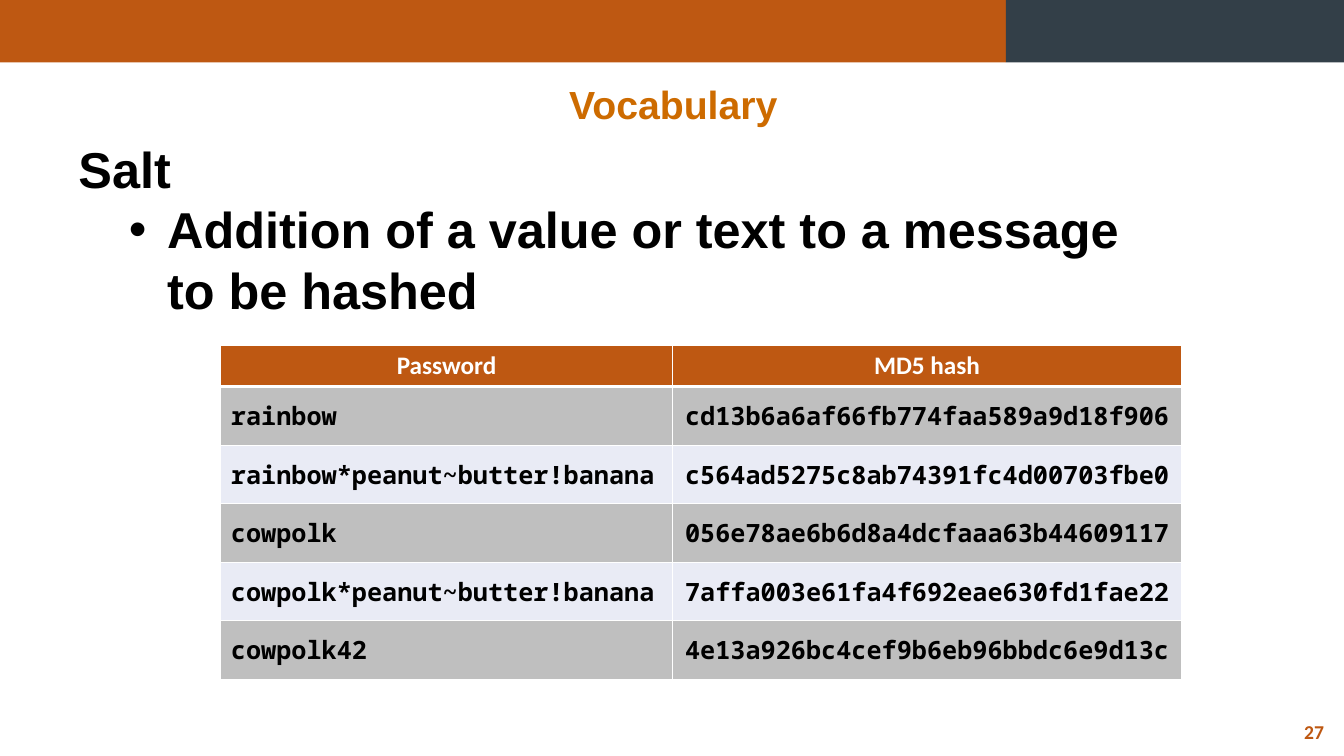
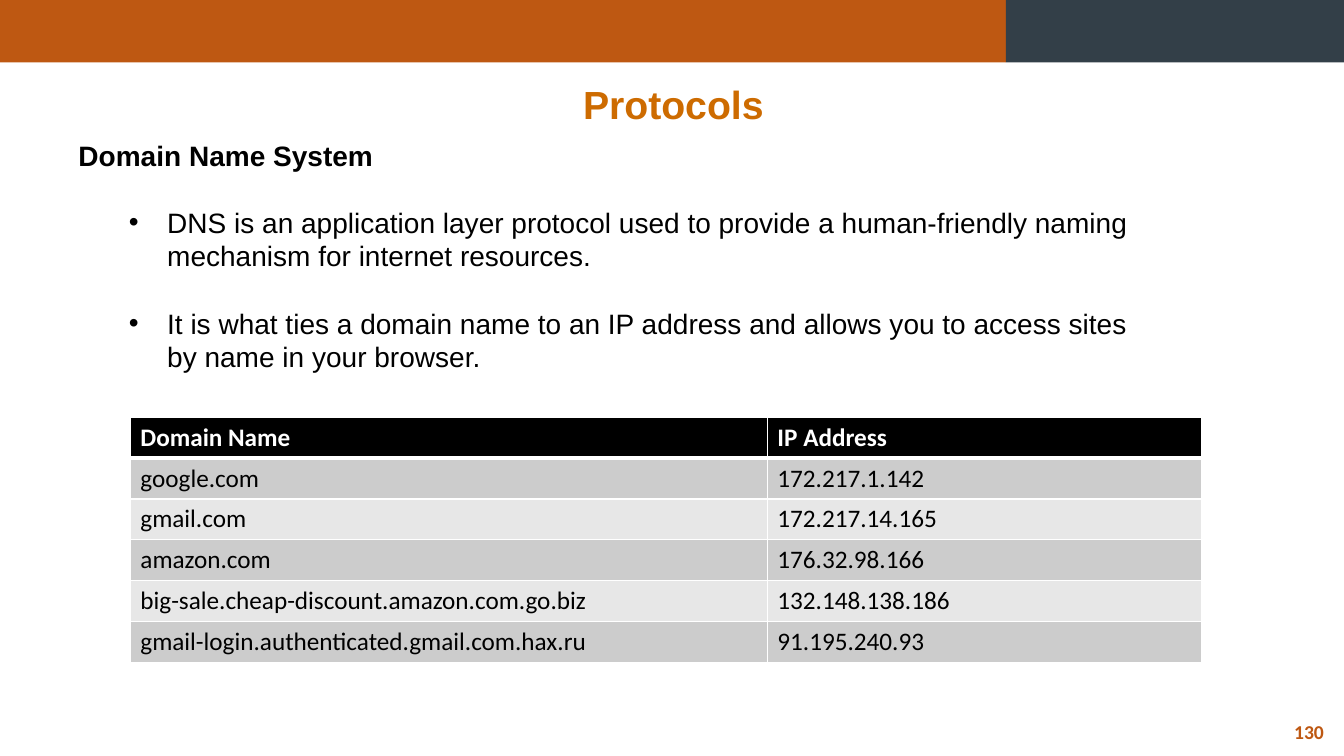
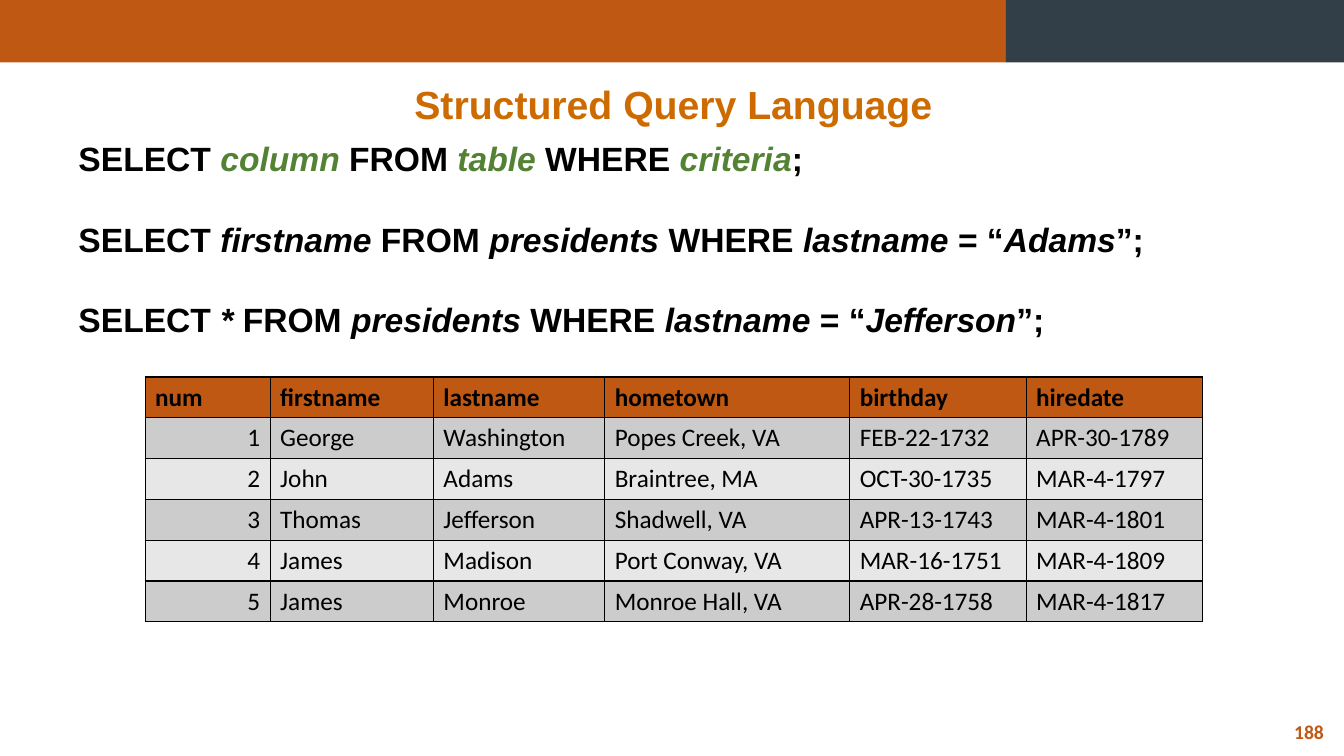
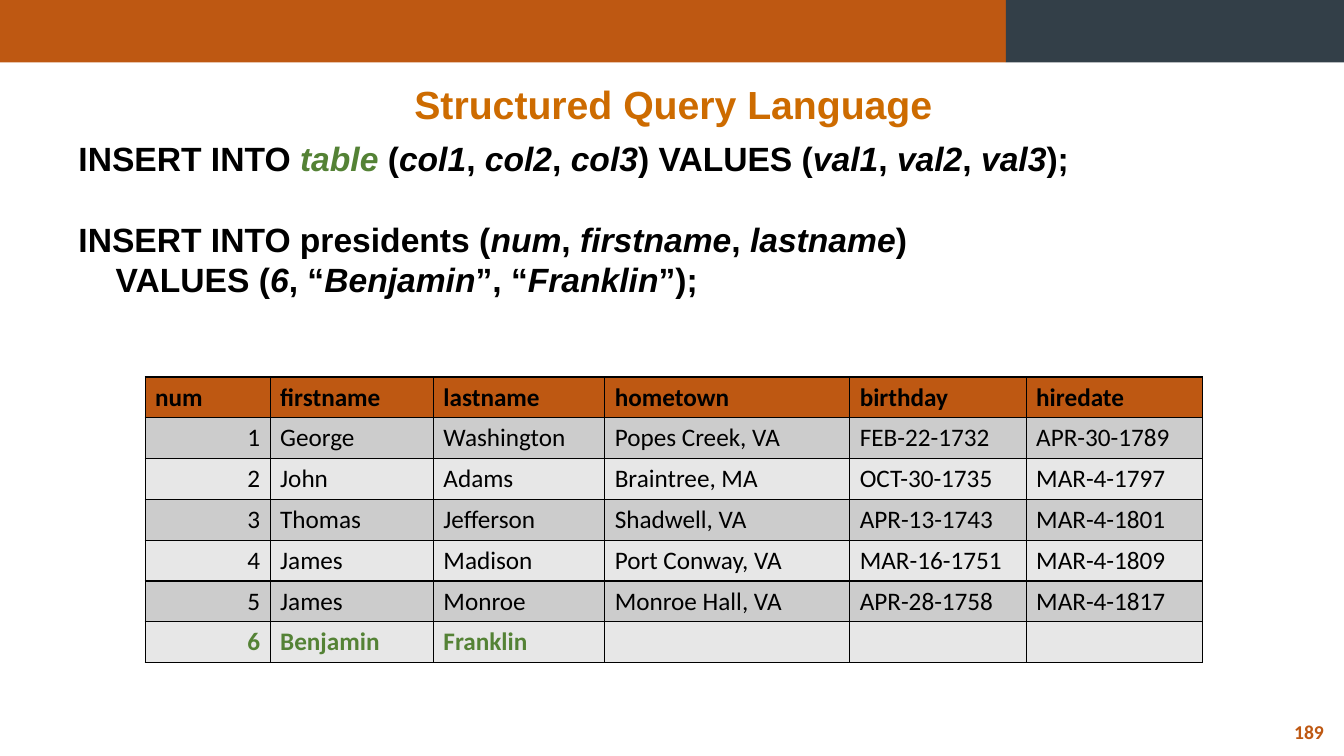
from lxml import etree
from pptx import Presentation
from pptx.dml.color import RGBColor
from pptx.enum.shapes import MSO_SHAPE
from pptx.enum.text import MSO_ANCHOR, MSO_AUTO_SIZE, PP_ALIGN
from pptx.oxml.ns import qn
from pptx.util import Inches, Pt

LEFT, MID, RIGHT = PP_ALIGN.LEFT, PP_ALIGN.CENTER, PP_ALIGN.RIGHT
TOP, CENTER, BOTTOM = MSO_ANCHOR.TOP, MSO_ANCHOR.MIDDLE, MSO_ANCHOR.BOTTOM
RECT, GROW = MSO_SHAPE.RECTANGLE, MSO_AUTO_SIZE.SHAPE_TO_FIT_TEXT

RUST, SLATE, AMBER, GREEN = "BE5812", "333F48", "CD6B00", "548235"
BLACK, WHITE = "000000", "FFFFFF"
GREYS = ("CCCCCC", "E7E7E7")
KEYS = ("column", "table", "criteria")

deck = Presentation()
deck.slide_width, deck.slide_height = Inches(13.33), Inches(7.5)
# The grid has 100 columns and 100 rows.
COL, ROW = deck.slide_width / 100, deck.slide_height / 100
GRID = (COL, ROW, COL, ROW)

BANDS = (((0, 0, 74.85, 8.27), RUST), ((74.85, 0, 25.15, 8.27), SLATE))
TITLE = dict(name="Arial", size=Pt(28), bold=True)
FOOT = dict(name="Calibri", size=Pt(14), bold=True)
CELL = dict(name="Calibri", size=Pt(18), bold=False)
HEAD = dict(CELL, bold=True)
MONO = dict(HEAD, name="Noto Sans Mono")


def paint(fill, tone):
    fill.solid()
    fill.fore_color.rgb = RGBColor.from_string(tone)


def write(par, text, tone, look, align=LEFT):
    """Fill a paragraph; parts between bars are italic, key words green."""
    par.alignment = align
    for row, line in enumerate(text.split("\n")):
        if row:
            par.add_line_break()
        for spot, part in enumerate(line.split("|")):
            if not part:
                continue
            run = par.add_run()
            run.text = part
            for key, value in look.items():
                setattr(run.font, key, value)
            slant = spot % 2 == 1
            run.font.italic = slant
            paint(run.font.fill, GREEN if slant and part in KEYS else tone)


chiefs = [
    ("num", "firstname", "lastname", "hometown", "birthday", "hiredate"),
    ("1", "George", "Washington", "Popes Creek, VA", "FEB-22-1732", "APR-30-1789"),
    ("2", "John", "Adams", "Braintree, MA", "OCT-30-1735", "MAR-4-1797"),
    ("3", "Thomas", "Jefferson", "Shadwell, VA", "APR-13-1743", "MAR-4-1801"),
    ("4", "James", "Madison", "Port Conway, VA", "MAR-16-1751", "MAR-4-1809"),
    ("5", "James", "Monroe", "Monroe Hall, VA", "APR-28-1758", "MAR-4-1817"),
]
plain = dict(look=CELL, rows=(5.4, 5.4), tones=GREYS, anchors=(TOP, TOP),
             head=LEFT, added=None)
people = dict(plain, spot=(10.8, 49.87), cols=(9.3, 12.15, 12.75, 18.23, 13.13, 13.13),
              aligns=(RIGHT,) + (LEFT,) * 5, top=RUST, ink=BLACK, edge=BLACK,
              rule=1, cells=chiefs)

slides = [
    dict(page="27", title="Vocabulary", size=36, tall=25.6, gap=0, bold=True,
         lines=["Salt"],
         points=["Addition of a value or text to a message to be hashed"],
         table=dict(
             spot=(16.43, 45.73), cols=(33.61, 37.88), rows=(5.4, 7.75),
             aligns=(LEFT, MID), head=MID, anchors=(BOTTOM, CENTER), look=MONO,
             top=RUST, ink=WHITE, tones=("BFBFBF", "E9EBF5"), edge=WHITE,
             rule=3, added=None,
             cells=[
                 ("Password", "MD5 hash"),
                 ("rainbow", "cd13b6a6af66fb774faa589a9d18f906"),
                 ("rainbow*peanut~butter!banana", "c564ad5275c8ab74391fc4d00703fbe0"),
                 ("cowpolk", "056e78ae6b6d8a4dcfaaa63b44609117"),
                 ("cowpolk*peanut~butter!banana", "7affa003e61fa4f692eae630fd1fae22"),
                 ("cowpolk42", "4e13a926bc4cef9b6eb96bbdc6e9d13c"),
             ])),
    dict(page="130", title="Protocols", size=20, tall=32.8, gap=1.2, bold=False,
         lines=["Domain Name System"],
         points=["DNS is an application layer protocol used to provide a "
                 "human-friendly naming mechanism for internet resources.",
                 "It is what ties a domain name to an IP address and allows "
                 "you to access sites by name in your browser."],
         table=dict(
             plain, spot=(9.7, 55.2), cols=(47.4, 32.33), aligns=(LEFT, LEFT),
             top=BLACK, ink=WHITE, edge=WHITE, rule=3,
             cells=[
                 ("Domain Name", "IP Address"),
                 ("google.com", "172.217.1.142"),
                 ("gmail.com", "172.217.14.165"),
                 ("amazon.com", "176.32.98.166"),
                 ("big-sale.cheap-discount.amazon.com.go.biz", "132.148.138.186"),
                 ("gmail-login.authenticated.gmail.com.hax.ru", "91.195.240.93"),
             ])),
    dict(page="188", title="Structured Query Language", size=24, tall=28.27,
         gap=1.2, bold=True, points=[],
         lines=["SELECT |column| FROM |table| WHERE |criteria|;",
                "SELECT |firstname| FROM |presidents| WHERE |lastname| = “|Adams|”;",
                "SELECT |*| FROM |presidents| WHERE |lastname| = “|Jefferson|”;"],
         table=people),
    dict(page="189", title="Structured Query Language", size=24, tall=22.93,
         gap=1.2, bold=True, points=[],
         lines=["INSERT INTO |table| (|col1|, |col2|, |col3|) "
                "VALUES (|val1|, |val2|, |val3|);",
                "INSERT INTO presidents (|num|, |firstname|, |lastname|)\n"
                "    VALUES (|6|, “|Benjamin|”, “|Franklin|”);"],
         table=dict(people, added=6,
                    cells=chiefs + [("6", "Benjamin", "Franklin", "", "", "")])),
]

for data in slides:
    slide = deck.slides.add_slide(deck.slide_layouts[6])
    shapes = slide.shapes
    for spot, tone in BANDS:
        band = shapes.add_shape(RECT, *[int(n * u) for n, u in zip(spot, GRID)])
        band.shadow.inherit = False
        band.line.fill.background()
        paint(band.fill, tone)

    frames = []
    for spot in ((93.85, 94.53, 5.4, 4.53), (2.1, 10, 96, 7.6),
                 (5.1, 17.6, 80.87, data["tall"])):
        box = shapes.add_textbox(*[int(n * u) for n, u in zip(spot, GRID)])
        box.text_frame.word_wrap = True
        box.text_frame.auto_size = GROW
        frames.append(box.text_frame)
    foot, title, body = frames
    write(foot.paragraphs[0], data["page"], RUST, FOOT, RIGHT)
    write(title.paragraphs[0], data["title"], AMBER, TITLE, MID)

    lines = data["lines"]
    for spot, text in enumerate(lines + data["points"]):
        par = body.add_paragraph() if spot else body.paragraphs[0]
        point = spot >= len(lines)
        if point:
            par.level = 1
            props = par._p.get_or_add_pPr()
            props.set("marL", str(Inches(0.88)))
            props.set("indent", str(Inches(-0.38)))
            etree.SubElement(props, qn("a:buFont")).set("typeface", "Arial")
            etree.SubElement(props, qn("a:buChar")).set("char", "•")
        if spot:
            par.space_before = Pt(data["gap"] * data["size"])
        look = dict(name="Arial", size=Pt(data["size"]),
                    bold=data["bold"] or not point)
        write(par, text, BLACK, look)

    form = data["table"]
    cells, cols = form["cells"], form["cols"]
    first, rest = form["rows"]
    spot = form["spot"] + (sum(cols), first + rest * (len(cells) - 1))
    table = shapes.add_table(len(cells), len(cols),
                             *[int(n * u) for n, u in zip(spot, GRID)]).table
    table.first_row = table.horz_banding = False
    for col, wide in zip(table.columns, cols):
        col.width = int(wide * COL)
    for r, texts in enumerate(cells):
        table.rows[r].height = int((rest if r else first) * ROW)
        for c, text in enumerate(texts):
            cell = table.cell(r, c)
            cell.vertical_anchor = form["anchors"][r > 0]
            props = cell._tc.get_or_add_tcPr()
            for side in "LRTB":
                thick = (r, side) in ((0, "B"), (1, "T"))
                edge = etree.SubElement(props, qn("a:ln" + side))
                edge.set("w", str(Pt(form["rule"] if thick else 1)))
                fill = etree.SubElement(edge, qn("a:solidFill"))
                etree.SubElement(fill, qn("a:srgbClr")).set("val", form["edge"])
            par = cell.text_frame.paragraphs[0]
            if r == 0:
                paint(cell.fill, form["top"])
                write(par, text, form["ink"], HEAD, form["head"])
            else:
                fresh = r == form["added"]
                paint(cell.fill, form["tones"][(r - 1) % 2])
                write(par, text, GREEN if fresh else BLACK,
                      HEAD if fresh else form["look"], form["aligns"][c])

deck.save("out.pptx")
